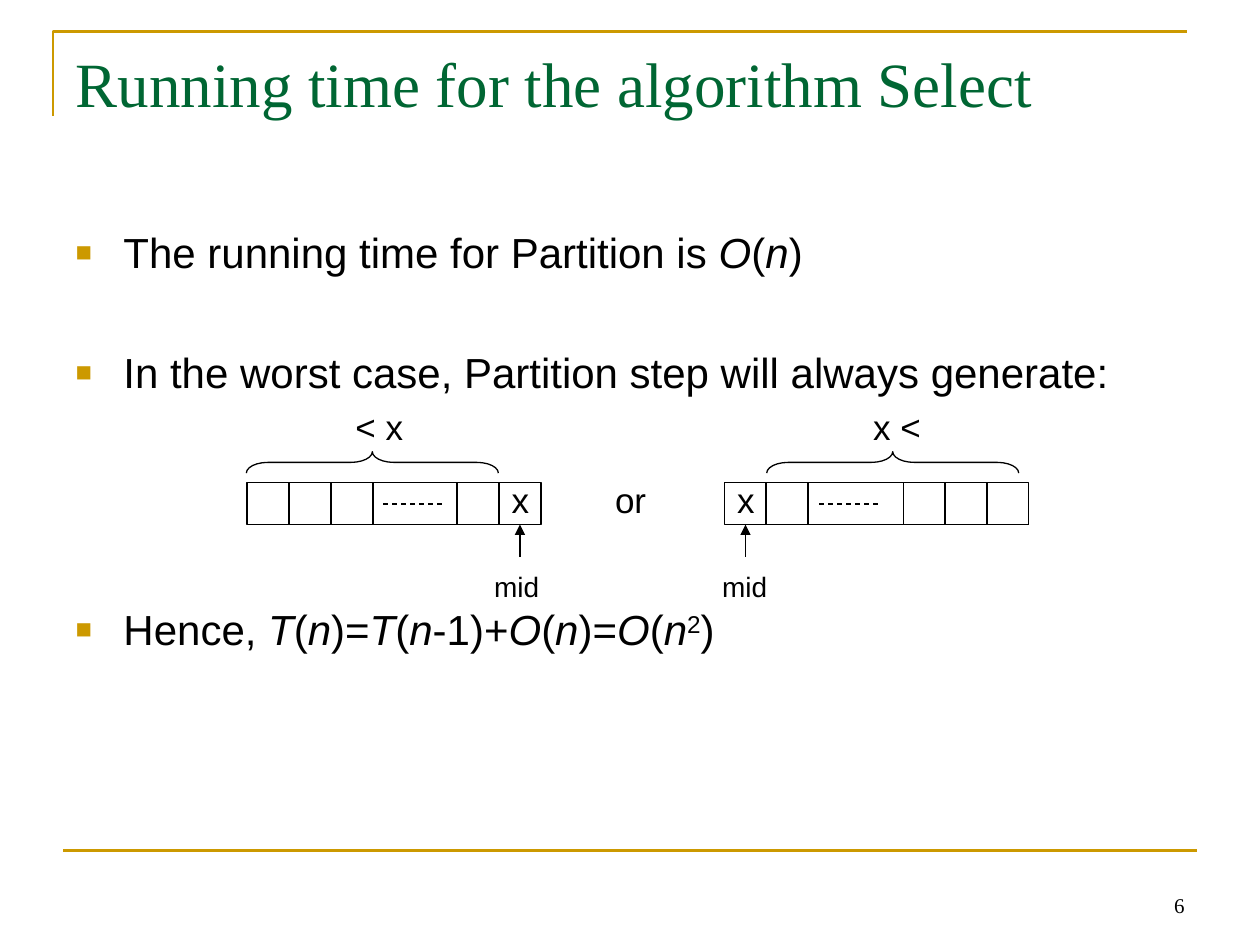
from lxml import etree
from pptx import Presentation
from pptx.dml.color import RGBColor
from pptx.enum.dml import MSO_LINE
from pptx.enum.shapes import MSO_CONNECTOR, MSO_SHAPE
from pptx.enum.text import MSO_ANCHOR as Anchor, MSO_AUTO_SIZE as AutoSize, PP_ALIGN as Align
from pptx.oxml.ns import qn
from pptx.util import Inches, Pt

BLACK = RGBColor(0x00, 0x00, 0x00)
GREEN = RGBColor(0x00, 0x66, 0x33)
GOLD = RGBColor(0xCC, 0x99, 0x00)
CELL = 1 / 3
CELL_TOP = 3.83
CELL_BOTTOM = CELL_TOP + CELL


def add_text(paragraph, text, size=24, font="Arial", color=BLACK, italic=False, raised=False):
    run = paragraph.add_run()
    run.text = text
    run.font.size = Pt(size)
    run.font.name = font
    run.font.color.rgb = color
    run.font.italic = italic
    if raised:
        run.font._element.set("baseline", "30000")


def add_line(parent, start, end, color=BLACK, width=0.75):
    line = parent.shapes.add_connector(
        MSO_CONNECTOR.STRAIGHT, *(Inches(value) for value in (*start, *end)))
    line.line.color.rgb = color
    line.line.width = Pt(width)
    etree.SubElement(line._element.spPr, qn("a:effectLst"))
    return line


prs = Presentation()
prs.slide_width, prs.slide_height = Inches(10), Inches(7.5)
slide = prs.slides.add_slide(prs.slide_layouts[1])

# Gold frame: corner at the top, rule at the bottom
builder = slide.shapes.build_freeform(Inches(0.42), Inches(0.92))
builder.add_line_segments(
    [(Inches(0.42), Inches(0.25)), (Inches(9.42), Inches(0.25))], close=False)
corner = builder.convert_to_shape()
corner.shadow.inherit = False
corner.fill.background()
corner.line.color.rgb = GOLD
corner.line.width = Pt(1.5)
add_line(slide, (0.5, 6.75), (9.5, 6.75), GOLD, 1.5)

# Title
title = slide.shapes.title
title.left, title.top, title.width, title.height = map(Inches, (0.5, 0.3, 9, 1.25))
title.text_frame.vertical_anchor = Anchor.TOP
title.text_frame.auto_size = AutoSize.NONE
heading = title.text_frame.paragraphs[0]
heading.alignment = Align.LEFT
add_text(heading, "Running time for the algorithm Select",
         size=36, font="Times New Roman", color=GREEN)

# Bullets: *italic*, *^superscript*; each with the space before it in points
points = [
    ("The running time for Partition is *O*(*n*)", None),
    ("In the worst case, Partition step will always generate:", 39.8),
    ("Hence, *T*(*n*)=*T*(*n*-1)+*O*(*n*)=*O*(*n**^2*)", 118),
]
body = slide.placeholders[1]
body.left, body.top, body.width, body.height = map(Inches, (0.5, 1.75, 9, 4.95))
body.text_frame.auto_size = AutoSize.NONE
for index, (point, gap) in enumerate(points):
    paragraph = body.text_frame.paragraphs[0] if index == 0 else body.text_frame.add_paragraph()
    if gap:
        paragraph.space_before = Pt(gap)
    props = paragraph._p.get_or_add_pPr()
    props.set("marL", str(Inches(0.38)))
    props.set("indent", str(Inches(-0.38)))
    bullet_color = etree.SubElement(props, qn("a:buClr"))
    etree.SubElement(bullet_color, qn("a:srgbClr"), val=str(GOLD))
    etree.SubElement(props, qn("a:buSzPct"), val="65000")
    etree.SubElement(props, qn("a:buFont"), typeface="Arial")
    etree.SubElement(props, qn("a:buChar"), char="■")
    for position, part in enumerate(point.split("*")):
        if part:
            raised = part.startswith("^")
            add_text(paragraph, part.lstrip("^"),
                     italic=position % 2 == 1 and not raised, raised=raised)

# The two worst-case arrays
left_array = slide.shapes.add_group_shape()
right_array = slide.shapes.add_group_shape()
arrays = [
    # group, cell lefts, index of x, dashes from, brace left, top edge, bottom edge
    (left_array, [1.96 + CELL * step for step in (0, 1, 2, 5, 6)], 4, 3.04, 2.87,
     (2.62, 4.12), (2.62, 4.12)),
    (right_array, [5.75, 6.08, 7.17, 7.5, 7.83], 0, 6.5, 7,
     (5.92, 7.83), (5.83, 8.17)),
]
for group, lefts, x_index, dash_left, brace_left, top_edge, bottom_edge in arrays:
    cells = [group.shapes.add_shape(MSO_SHAPE.RECTANGLE, Inches(left), Inches(CELL_TOP),
                                    Inches(CELL), Inches(CELL)) for left in lefts]
    brace = group.shapes.add_shape(MSO_SHAPE.LEFT_BRACE, Inches(brace_left), Inches(2.67),
                                   Inches(0.17), Inches(2))
    brace.rotation = 90
    brace.adjustments[0] = 1
    brace.adjustments[1] = 0.5
    for outline in (*cells, brace):
        outline.shadow.inherit = False
        outline.fill.background()
        outline.line.color.rgb = BLACK
        outline.line.width = Pt(0.75)

    # Edges of the skipped cells, and the dashes between them
    x_cell = cells[x_index]
    top_line = add_line(group, (top_edge[0], CELL_TOP), (top_edge[1], CELL_TOP))
    bottom_line = add_line(group, (bottom_edge[0], CELL_BOTTOM), (bottom_edge[1], CELL_BOTTOM))
    if group is left_array:
        top_line.end_connect(x_cell, 0)
        bottom_line.end_connect(x_cell, 2)
    else:
        top_line.begin_connect(x_cell, 0)
    dashes = add_line(group, (dash_left, 4), (dash_left + 0.5, 4))
    dashes.line.dash_style = MSO_LINE.DASH

    # Arrow from mid to x
    x_middle = lefts[x_index] + CELL / 2
    arrow = add_line(group, (x_middle, 4.42), (x_middle, CELL_BOTTOM))
    arrow.end_connect(x_cell, 2)
    etree.SubElement(arrow.line._get_or_add_ln(), qn("a:tailEnd"), type="triangle")

# Labels and page number
labels = [
    (slide, "or", (4.78, 3.75, 0.45, 0.43), 20),
    (left_array, "x", (3.96, 3.75, 0.34, 0.43), 20),
    (left_array, "< x", (2.72, 3.17, 0.58, 0.43), 20),
    (left_array, "mid", (3.82, 4.47, 0.56, 0.37), 16),
    (right_array, "x", (5.75, 3.75, 0.34, 0.43), 20),
    (right_array, "x <", (6.83, 3.17, 0.58, 0.43), 20),
    (right_array, "mid", (5.63, 4.47, 0.56, 0.37), 16),
]
for parent, text, place, size in labels:
    label = parent.shapes.add_textbox(*map(Inches, place))
    label.text_frame.word_wrap = False
    label.text_frame.auto_size = AutoSize.SHAPE_TO_FIT_TEXT
    label.text_frame.paragraphs[0].alignment = Align.CENTER
    add_text(label.text_frame.paragraphs[0], text, size=size)

page = slide.shapes.add_textbox(*map(Inches, (7.17, 6.83, 2.33, 0.5)))
page.text_frame.word_wrap = True
page.text_frame.vertical_anchor = Anchor.BOTTOM
page.text_frame.paragraphs[0].alignment = Align.RIGHT
add_text(page.text_frame.paragraphs[0], "6", size=12, font="Times New Roman")

prs.save("out.pptx")
